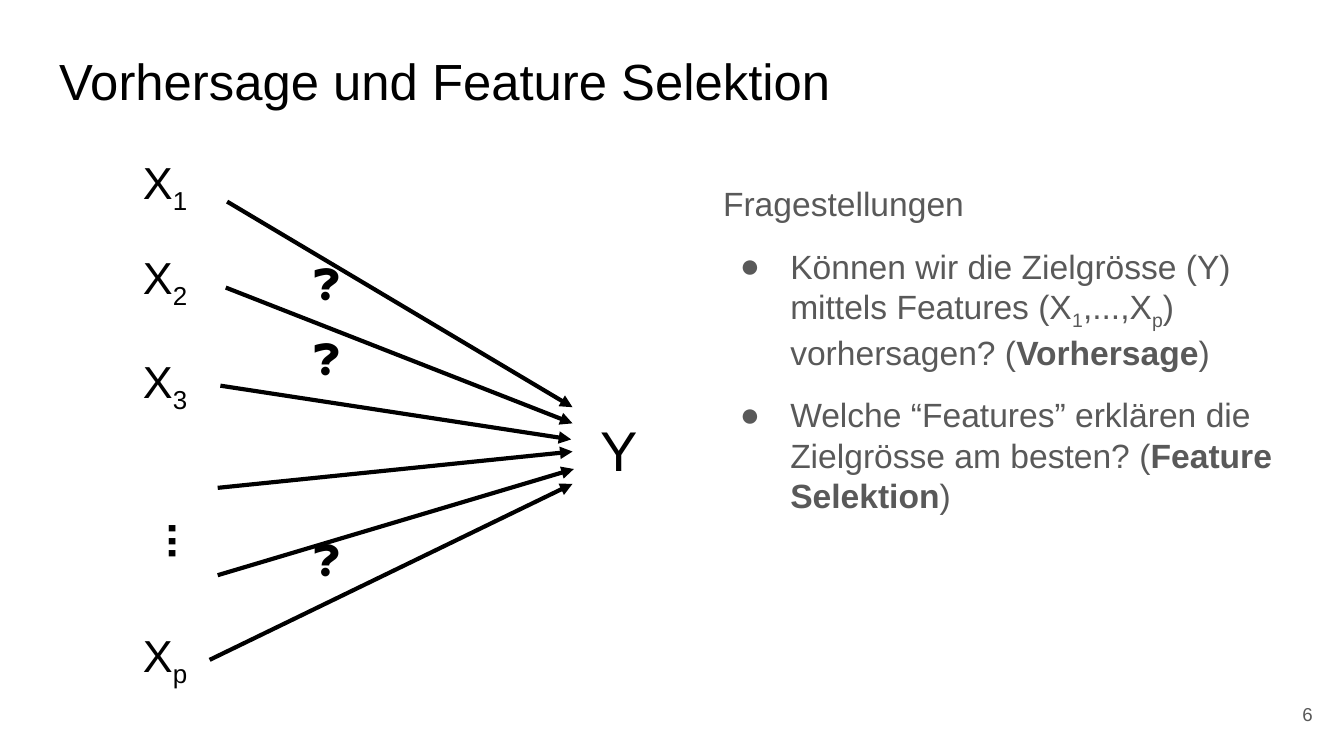
from pptx import Presentation
from pptx.dml.color import RGBColor
from pptx.enum.shapes import MSO_CONNECTOR
from pptx.enum.text import MSO_ANCHOR, MSO_AUTO_SIZE, PP_ALIGN
from pptx.oxml.ns import qn
from pptx.util import Pt
from lxml import etree

STRAIGHT = MSO_CONNECTOR.STRAIGHT
TOP, MIDDLE = MSO_ANCHOR.TOP, MSO_ANCHOR.MIDDLE
LEFT, RIGHT = PP_ALIGN.LEFT, PP_ALIGN.RIGHT
NO_FIT, GROW = MSO_AUTO_SIZE.NONE, MSO_AUTO_SIZE.SHAPE_TO_FIT_TEXT

EMU_PER_PX = 4572  # 200 px to the inch
FONT = "Arial"
COLORS = {"ink": "000000", "body": "595959"}
SUBSCRIPT = "-25000"


def px(length):
    return length * EMU_PER_PX


def add_run(paragraph, text, size, color, style=""):
    """Add one run; style is "", "bold" or "sub"."""
    run = paragraph.add_run()
    run.text = text
    run.font.name = FONT
    run.font.size = Pt(size)
    run.font.bold = style == "bold"
    run.font.color.rgb = RGBColor.from_string(COLORS[color])
    if style == "sub":
        run._r.get_or_add_rPr().set("baseline", SUBSCRIPT)


def set_frame(shape, anchor=TOP, fit=NO_FIT):
    frame = shape.text_frame
    frame.word_wrap = True
    frame.auto_size = fit
    frame.vertical_anchor = anchor
    frame.margin_left = frame.margin_right = px(20)
    frame.margin_top = frame.margin_bottom = px(20)
    return frame


def place(shape, left, top, width, height):
    shape.left, shape.top = px(left), px(top)
    shape.width, shape.height = px(width), px(height)


def add_label(shapes, box, runs, size, color="ink", align=LEFT,
              anchor=TOP, fit=GROW, spacing=None):
    """Add a one-line text box; runs holds (text, style) pairs."""
    label = shapes.add_textbox(*map(px, box))
    paragraph = set_frame(label, anchor, fit).paragraphs[0]
    paragraph.alignment = align
    paragraph.line_spacing = spacing
    for text, style in runs:
        add_run(paragraph, text, size, color, style)
    return label


def add_arrow(shapes, start, end):
    arrow = shapes.add_connector(STRAIGHT, *map(px, start + end))
    arrow.line.color.rgb = RGBColor.from_string(COLORS["ink"])
    arrow.line.width = Pt(2.25)
    etree.SubElement(arrow.line._get_or_add_ln(), qn("a:tailEnd"), type="triangle")
    etree.SubElement(arrow._element.spPr, qn("a:effectLst"))


def set_bullet(paragraph, character):
    """Set indent and bullet; no character means a plain paragraph."""
    properties = paragraph._p.get_or_add_pPr()
    properties.set("marL", str(px(100) if character else 0))
    properties.set("indent", str(px(-75) if character else 0))
    if not character:
        etree.SubElement(properties, qn("a:buNone"))
        return
    color = etree.SubElement(properties, qn("a:buClr"))
    etree.SubElement(color, qn("a:srgbClr"), val=COLORS["body"])
    etree.SubElement(properties, qn("a:buFont"), typeface=FONT)
    etree.SubElement(properties, qn("a:buChar"), char=character)


def fill_title(title):
    place(title, 68, 54, 1864, 126)
    paragraph = set_frame(title).paragraphs[0]
    paragraph.alignment = LEFT
    add_run(paragraph, "Vorhersage und Feature Selektion", 27.2, "ink")


def fill_questions(body):
    place(body, 1056, 252, 874, 748)
    frame = set_frame(body)
    paragraphs = [
        ("", [("Fragestellungen", "")]),
        ("●", [("Können wir die Zielgrösse (Y) mittels Features (X", ""),
               ("1", "sub"), (",...,X", ""), ("p", "sub"),
               (") vorhersagen? (", ""), ("Vorhersage", "bold"), (")", "")]),
        ("●", [("Welche “Features” erklären die Zielgrösse am besten? (", ""),
               ("Feature Selektion", "bold"), (")", "")]),
    ]
    for index, (bullet, runs) in enumerate(paragraphs):
        paragraph = frame.add_paragraph() if index else frame.paragraphs[0]
        set_bullet(paragraph, bullet)
        paragraph.line_spacing = 1.0
        paragraph.space_before = Pt(12 if index else 0)
        for text, style in runs:
            add_run(paragraph, text, 18, "body", style)


def add_diagram(slide):
    shapes = slide.shapes.add_group_shape().shapes
    # Features
    for subscript, top in (("1", 210), ("2", 352), ("3", 506), ("p", 914)):
        add_label(shapes, (193, top, 236, 122), [("X", ""), (subscript, "sub")], 24)
    dots = add_label(shapes, (136, 838, 282, 122), [("...", "bold")], 24)
    dots.rotation = 90
    # Target
    add_label(shapes, (874, 598, 126, 142), [("Y", "")], 30)
    # Arrows from features to target
    for start, end in (((338, 300), (852, 606)), ((336, 428), (852, 630)),
                       ((328, 574), (850, 654)), ((324, 726), (852, 672)),
                       ((324, 856), (854, 698)), ((312, 982), (852, 720))):
        add_arrow(shapes, start, end)


def main():
    presentation = Presentation()
    presentation.slide_width, presentation.slide_height = px(2000), px(1125)
    slide = presentation.slides.add_slide(presentation.slide_layouts[1])
    fill_title(slide.shapes.title)
    fill_questions(slide.placeholders[1])
    add_diagram(slide)
    # Open questions on the arrows
    for top in (328, 440, 738):
        add_label(slide.shapes, (446, top, 84, 112), [("❓", "")], 21, spacing=1.5)
    # Slide number
    add_label(slide.shapes, (1853, 1020, 120, 86), [("6", "")], 10, "body",
              RIGHT, MIDDLE, NO_FIT)
    presentation.save("out.pptx")


if __name__ == "__main__":
    main()
